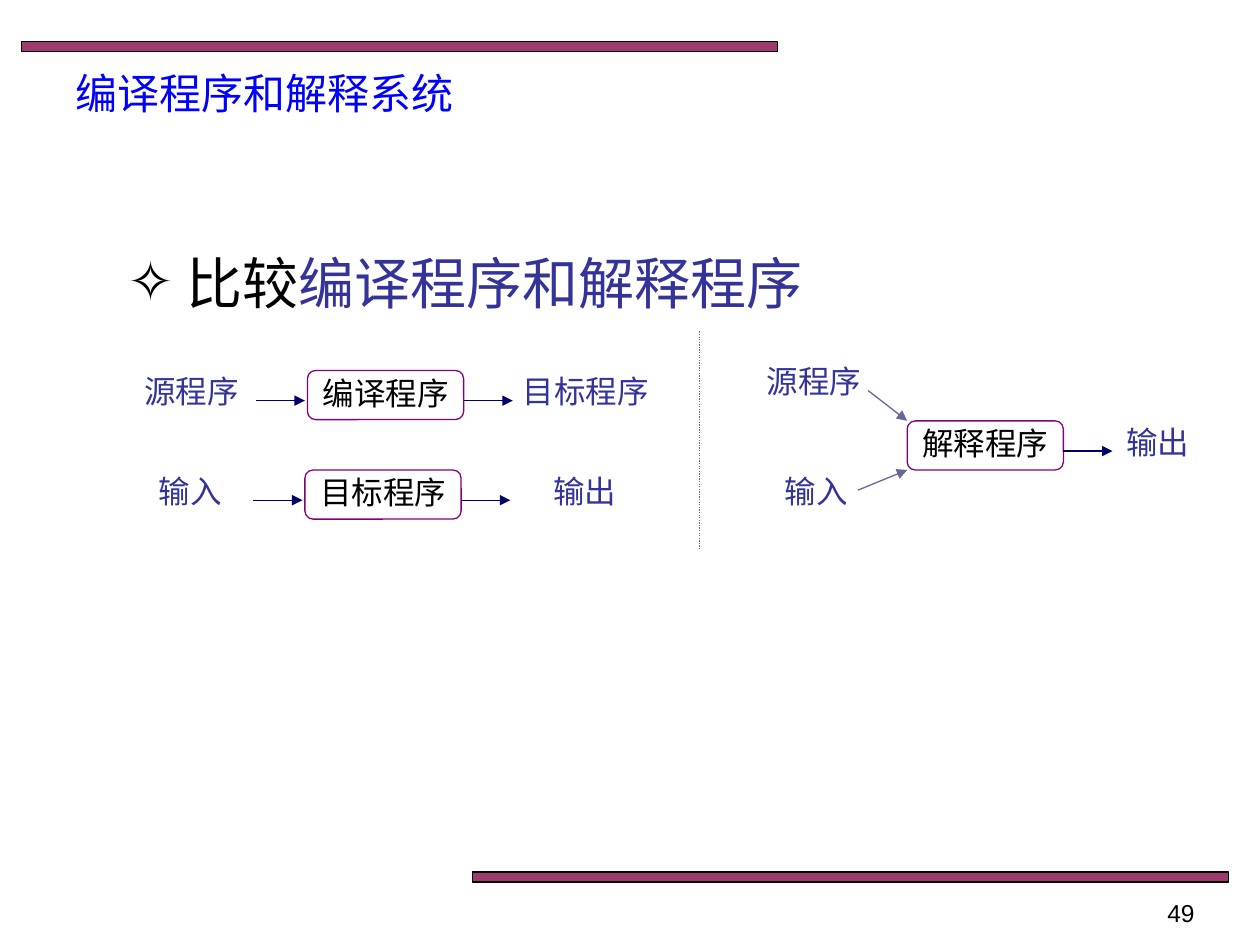
from lxml import etree
from pptx import Presentation
from pptx.dml.color import RGBColor
from pptx.enum.dml import MSO_LINE
from pptx.enum.shapes import MSO_CONNECTOR, MSO_SHAPE
from pptx.enum.text import MSO_ANCHOR, MSO_AUTO_SIZE, PP_ALIGN
from pptx.oxml.ns import qn
from pptx.util import Inches, Pt

STRAIGHT = MSO_CONNECTOR.STRAIGHT
RECTANGLE, ROUNDED = MSO_SHAPE.RECTANGLE, MSO_SHAPE.ROUNDED_RECTANGLE
LEFT, CENTER, RIGHT = PP_ALIGN.LEFT, PP_ALIGN.CENTER, PP_ALIGN.RIGHT
TOP, MIDDLE = MSO_ANCHOR.TOP, MSO_ANCHOR.MIDDLE
NO_FIT = MSO_AUTO_SIZE.NONE
DOTTED = MSO_LINE.ROUND_DOT

LATIN, CHINESE = "Arial", "Noto Sans CJK SC"
BLACK, WHITE, BLUE = "000000", "FFFFFF", "0000FF"
INDIGO, NAVY, SLATE = "333399", "000066", "666699"
PURPLE, PLUM = "800080", "993366"
LABEL_HEIGHT = 0.4
NODE_WIDTH, NODE_HEIGHT = 1.24, 0.39
ARROW_LENGTH = 0.39


def rgb(value):
    return RGBColor.from_string(value)


def inches(*lengths):
    return [Inches(length) for length in lengths]


def write(shape, *parts, size=18, font=LATIN, align=LEFT, anchor=TOP,
          spacing=1.0, wrap=True, bullet=None, hang=0):
    """Fill a shape with one paragraph made of (text, colour) parts."""
    frame = shape.text_frame
    frame.auto_size = NO_FIT
    frame.word_wrap = wrap
    frame.vertical_anchor = anchor
    para = frame.paragraphs[0]
    para.alignment = align
    para.line_spacing = spacing
    para.space_before = Pt(0)
    if bullet:
        properties = para._p.get_or_add_pPr()
        properties.set("marL", str(Inches(hang)))
        properties.set("indent", str(-Inches(hang)))
        etree.SubElement(properties, qn("a:buChar")).set("char", bullet)
    for text, colour in parts:
        span = para.add_run()
        span.text = text
        span.font.size = Pt(size)
        span.font.name = font
        span.font.color.rgb = rgb(colour)
        east_asian = etree.Element(qn("a:ea"))
        east_asian.set("typeface", CHINESE)
        span.font._element.find(qn("a:latin")).addnext(east_asian)


def place(shape, *box):
    shape.left, shape.top, shape.width, shape.height = inches(*box)
    return shape


def add_outlined(page, kind, box, fill, line):
    shape = page.shapes.add_shape(kind, *inches(*box))
    shape.shadow.inherit = False
    shape.fill.solid()
    shape.fill.fore_color.rgb = rgb(fill)
    shape.line.color.rgb = rgb(line)
    shape.line.width = Pt(0.75)
    return shape


def add_bar(page, left, top):
    bar = add_outlined(page, RECTANGLE, (left, top, 6, 0.08), PLUM, BLACK)
    colour = bar.fill._xPr.find(f".//{qn('a:srgbClr')}")
    etree.SubElement(colour, qn("a:alpha")).set("val", "96000")


def add_label(page, text, left, top, width=0.76):
    label = page.shapes.add_textbox(*inches(left, top, width, LABEL_HEIGHT))
    write(label, (text, INDIGO), align=CENTER, spacing=0.9, wrap=False)


def add_node(page, text, left, top):
    box = (left, top, NODE_WIDTH, NODE_HEIGHT)
    node = add_outlined(page, ROUNDED, box, WHITE, PURPLE)
    write(node, (text, BLACK), align=CENTER, anchor=MIDDLE,
          spacing=0.9, wrap=False)


def add_line(page, start, end, colour, arrow=True):
    line = page.shapes.add_connector(STRAIGHT, *inches(*start, *end))
    line.line.color.rgb = rgb(colour)
    line.line.width = Pt(0.75)
    etree.SubElement(line._element.spPr, qn("a:effectLst"))
    if arrow:
        tail = etree.SubElement(line.line._get_or_add_ln(), qn("a:tailEnd"))
        tail.set("type", "triangle")
    else:
        line.line.dash_style = DOTTED


def add_flow_arrow(page, left, node_top):
    middle = node_top + 0.24
    add_line(page, (left, middle), (left + ARROW_LENGTH, middle), NAVY)


def add_compiler_row(page, left, top, name, source, target):
    """Draw source, node and target; a label is (text, offset, width)."""
    for text, offset, width in (source, target):
        add_label(page, text, left + offset, top, width)
    add_node(page, name, left, top)
    add_flow_arrow(page, left - 0.41, top)
    add_flow_arrow(page, left + NODE_WIDTH, top)


def add_interpreter(page, left, top):
    add_label(page, "源程序", left - 1.26, top - 0.48, 1.04)
    add_label(page, "输入", left - 1.1, top + NODE_HEIGHT)
    add_node(page, "解释程序", left, top)
    add_label(page, "输出", left + 1.61, top)
    add_line(page, (left - 0.31, top - 0.24), (left, top), SLATE)
    bottom = top + NODE_HEIGHT
    add_line(page, (left - 0.39, bottom + 0.16), (left, bottom), SLATE)
    add_flow_arrow(page, left + NODE_WIDTH, top)


def add_frame(page):
    """Add the two bars and the page number."""
    add_bar(page, 0.17, 0.33)
    add_bar(page, 3.75, 6.92)
    number = page.shapes.add_textbox(*inches(7.25, 7.08, 2.33, 0.27))
    write(number, ("49", BLACK), size=14, align=RIGHT)


def add_headings(page):
    title = place(page.shapes.title, 0.5, 0.55, 9, 0.37)
    write(title, ("编译程序和解释系统", BLUE), size=24, font=CHINESE,
          anchor=MIDDLE)
    heading = place(page.placeholders[1], 0.91, 1.92, 5.83, 0.63)
    write(heading, ("比较", BLACK), ("编译程序和解释程序", INDIGO), size=32,
          bullet="✧", hang=0.47)


def main():
    deck = Presentation()
    deck.slide_width, deck.slide_height = inches(10, 7.5)
    page = deck.slides.add_slide(deck.slide_layouts[1])
    add_frame(page)
    add_headings(page)
    add_compiler_row(page, 2.44, 2.94, "编译程序",
                     ("源程序", -1.44, 1.04), ("目标程序", 1.55, 1.32))
    add_compiler_row(page, 2.42, 3.73, "目标程序",
                     ("输入", -1.29, 0.76), ("输出", 1.84, 0.76))
    add_interpreter(page, 7.2, 3.34)
    add_line(page, (5.55, 2.63), (5.55, 4.36), SLATE, arrow=False)
    deck.save("out.pptx")


if __name__ == "__main__":
    main()
